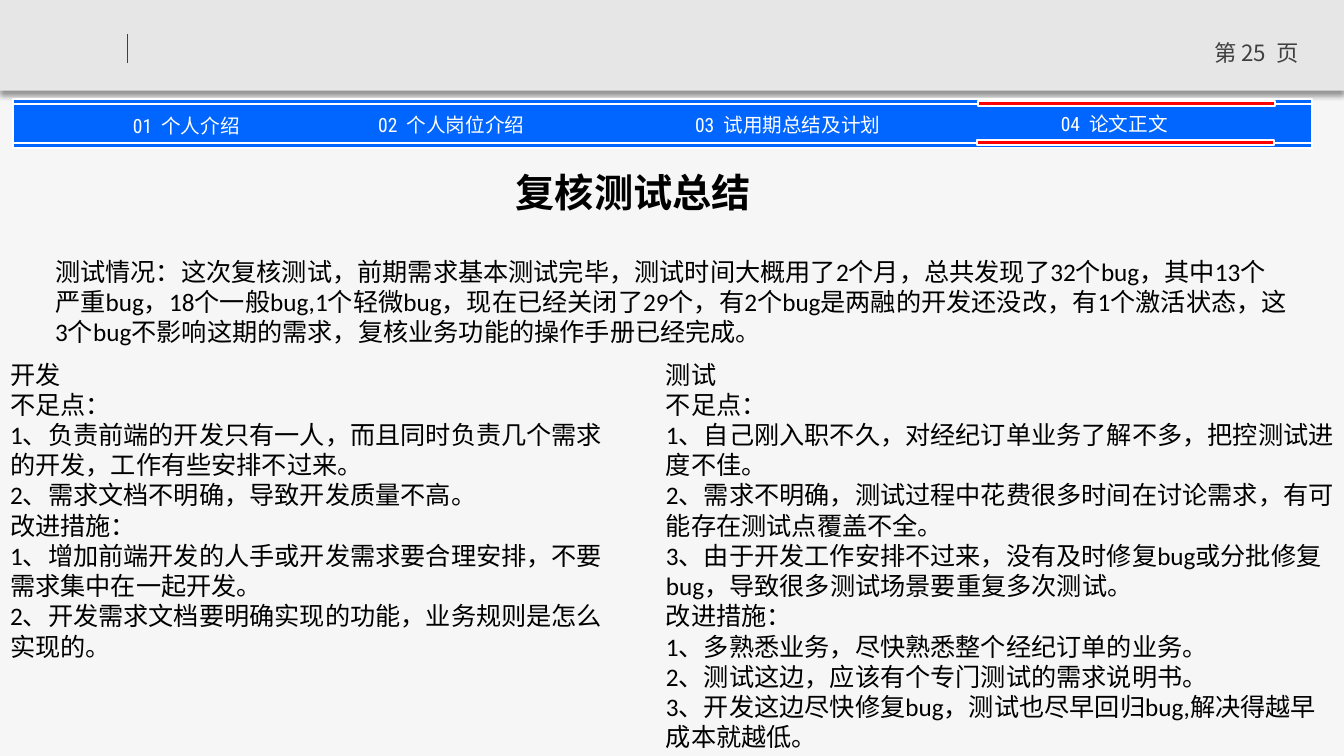
from lxml import etree
from pptx import Presentation
from pptx import util as u
from pptx.dml.color import RGBColor
from pptx.enum import shapes, text
from pptx.oxml import parse_xml
from pptx.oxml.ns import qn

PX = 9144
COLORS = {"page": "F6F6F6", "header": "E6E6E6", "grey": "404040", "blue": "0066FF",
          "red": "FF0000", "white": "FFFFFF", "black": "000000"}
CJK = "Noto Sans CJK SC"
NAMESPACE = "http://schemas.openxmlformats.org/drawingml/2006/main"
SHADOW = (f'<a:effectLst xmlns:a="{NAMESPACE}"><a:outerShdw blurRad="50800" dist="38100" '
          'dir="5400000" algn="t" rotWithShape="0"><a:srgbClr val="000000">'
          '<a:alpha val="40000"/></a:srgbClr></a:outerShdw></a:effectLst>')

SUMMARY = ("测试情况：这次复核测试，前期需求基本测试完毕，测试时间大概用了2个月，总共发现了32个bug，"
           "其中13个严重bug，18个一般bug,1个轻微bug，现在已经关闭了29个，有2个bug是两融的开发还没改，"
           "有1个激活状态，这3个bug不影响这期的需求，复核业务功能的操作手册已经完成。")
DEVELOPMENT = [
    "开发",
    "不足点：",
    "1、负责前端的开发只有一人，而且同时负责几个需求的开发，工作有些安排不过来。",
    "2、需求文档不明确，导致开发质量不高。",
    "改进措施：",
    "1、增加前端开发的人手或开发需求要合理安排，不要需求集中在一起开发。",
    "2、开发需求文档要明确实现的功能，业务规则是怎么实现的。",
]
TESTING = [
    "测试",
    "不足点：",
    "1、自己刚入职不久，对经纪订单业务了解不多，把控测试进度不佳。",
    "2、需求不明确，测试过程中花费很多时间在讨论需求，有可能存在测试点覆盖不全。",
    "3、由于开发工作安排不过来，没有及时修复bug或分批修复bug，导致很多测试场景要重复多次测试。",
    "改进措施：",
    "1、多熟悉业务，尽快熟悉整个经纪订单的业务。",
    "2、测试这边，应该有个专门测试的需求说明书。",
    "3、开发这边尽快修复bug，测试也尽早回归bug,解决得越早成本就越低。",
]


def color(name):
    """Return the named colour."""
    return RGBColor.from_string(COLORS[name])


def emu(*lengths):
    """Turn px lengths into EMU."""
    return [u.Emu(length * PX) for length in lengths]


def write(shape, lines, size=18, font="Calibri", ink="black", bold=False,
          align=text.PP_ALIGN.LEFT, anchor=text.MSO_ANCHOR.TOP, inset=None):
    """Fill a shape with one unbulleted paragraph per line."""
    frame = shape.text_frame
    frame.word_wrap = True
    frame.auto_size = text.MSO_AUTO_SIZE.NONE
    frame.vertical_anchor = anchor
    if inset is not None:
        frame.margin_left = frame.margin_right = inset
        frame.margin_top = frame.margin_bottom = inset
    for index, line in enumerate(lines):
        paragraph = frame.add_paragraph() if index else frame.paragraphs[0]
        paragraph.alignment = align
        paragraph.line_spacing = 1.0
        paragraph.space_before = paragraph.space_after = u.Pt(0)
        properties = paragraph._p.get_or_add_pPr()
        properties.set("marL", "0")
        properties.set("indent", "0")
        etree.SubElement(properties, qn("a:buNone"))
        run = paragraph.add_run()
        run.text = line
        run.font.size = u.Pt(size)
        run.font.name = font
        run.font.bold = bold
        run.font.color.rgb = color(ink)
        etree.SubElement(run._r.get_or_add_rPr(), qn("a:ea")).set("typeface", CJK)


def add_text(slide, box, lines, **style):
    """Add a formatted text box."""
    write(slide.shapes.add_textbox(*emu(*box)), lines, **style)


def fill_placeholder(shape, box, lines, **style):
    """Move a placeholder into its box and fill it."""
    shape.left, shape.top, shape.width, shape.height = emu(*box)
    write(shape, lines, **style)


def add_bar(slide, box, fill, outline=None):
    """Add a flat rectangle, outlined if a colour is given."""
    shape = slide.shapes.add_shape(shapes.MSO_SHAPE.RECTANGLE, *emu(*box))
    shape.shadow.inherit = False
    shape.fill.solid()
    shape.fill.fore_color.rgb = color(fill)
    if outline:
        shape.line.color.rgb = color(outline)
        shape.line.width = u.Pt(1.5)
    else:
        shape.line.fill.background()
    return shape


def header(slide, x, y, width, height):
    """Draw the shaded header with its tick and page number."""
    properties = add_bar(slide, (x, y, width, height), "header")._element.spPr
    properties.replace(properties.find(qn("a:effectLst")), parse_xml(SHADOW))
    tick = slide.shapes.add_connector(shapes.MSO_CONNECTOR.STRAIGHT,
                                      *emu(x + 127, y + 34, x + 127, y + 63))
    tick.line.color.rgb = color("grey")
    tick.line.width = u.Pt(0.75)
    etree.SubElement(tick._element.spPr, qn("a:effectLst"))
    add_text(slide, (x + width - 147, y + 34, 120, 40), ["第 25  页"], size=16,
             font=CJK, ink="grey", align=text.PP_ALIGN.CENTER)


def navigation(slide, x, y, width, height):
    """Draw the chapter bar with the current chapter marked in red."""
    for top, thickness in ((5, 43), (height - 5, 5), (0, 5)):
        add_bar(slide, (x, y + top, width, thickness), "blue", "white")
    chapters = ((48, 15, "01  个人介绍"), (311, 14, "02  个人岗位介绍"),
                (645, 14, "03  试用期总结及计划"), (969, 13, "04  论文正文"))
    for left, top, label in chapters:
        add_text(slide, (x + left, y + top, 248, 24), [label], size=14,
                 font="Roboto Condensed", ink="white", align=text.PP_ALIGN.CENTER,
                 anchor=text.MSO_ANCHOR.MIDDLE, inset=0)
    for left, top in ((958, 2), (957, 41)):
        add_bar(slide, (x + left, y + top, 295, 5), "red", "white")


def review(slide, x, y, width):
    """Place the title, the summary and the two review columns."""
    title, development, testing = slide.placeholders
    fill_placeholder(title, (x + 502, y, 528, 57), ["复核测试总结"], size=28, bold=True)
    add_text(slide, (x + 45, y + 87, width - 90, 101), [SUMMARY])
    fill_placeholder(development, (x, y + 189, 630, 313), DEVELOPMENT)
    fill_placeholder(testing, (x + 651, y + 189, width - 651, 464), TESTING)


def main():
    """Build and save the slide."""
    presentation = Presentation()
    presentation.slide_width, presentation.slide_height = emu(1334, 750)
    slide = presentation.slides.add_slide(presentation.slide_layouts.get_by_name("Two Content"))
    slide.background.fill.solid()
    slide.background.fill.fore_color.rgb = color("page")
    header(slide, 0, 0, 1334, 90)
    navigation(slide, 13, 98, 1289, 49)
    review(slide, 0, 162, 1334)
    presentation.save("out.pptx")


if __name__ == "__main__":
    main()
